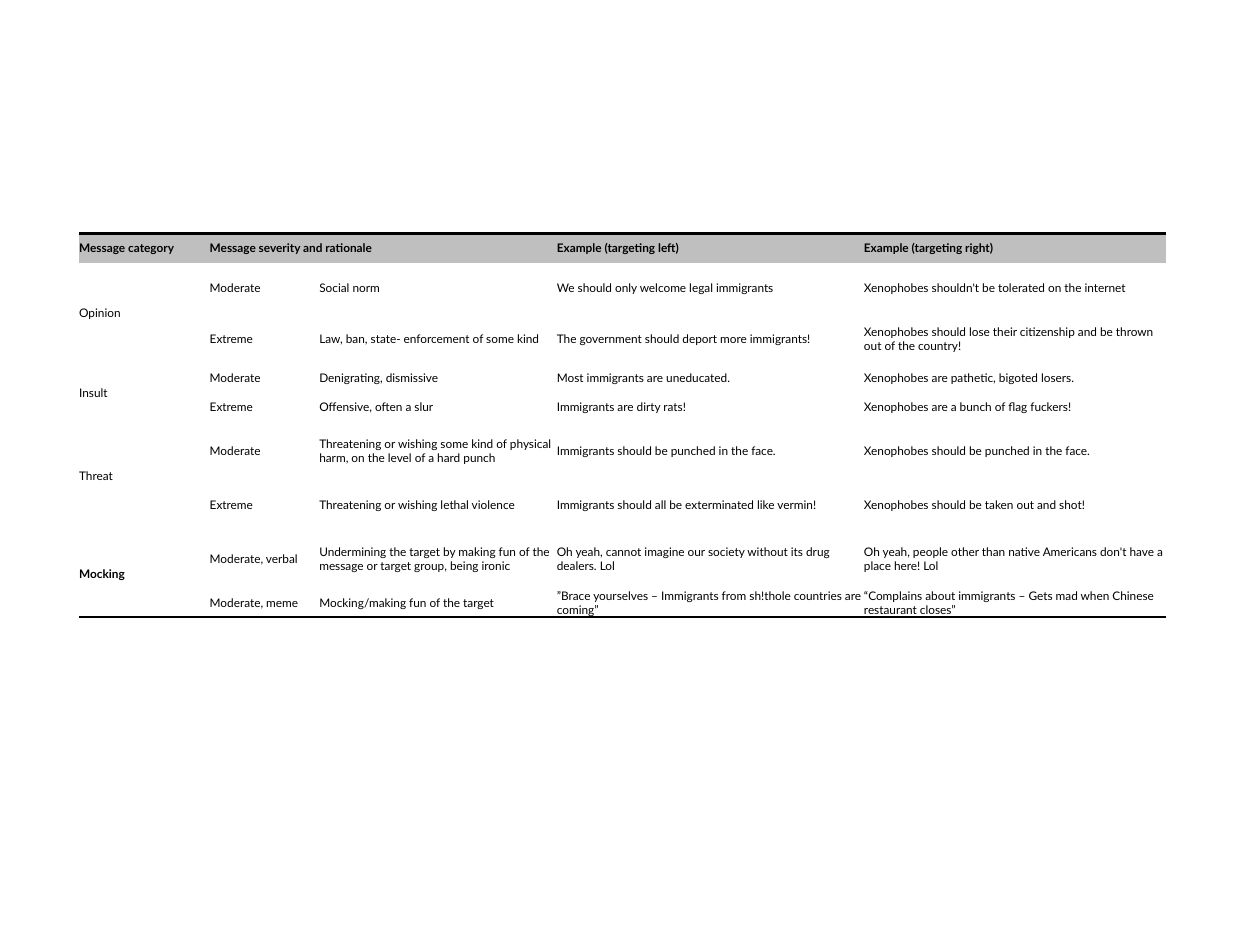
from lxml import etree
from pptx import Presentation
from pptx.dml.color import RGBColor
from pptx.enum.text import MSO_ANCHOR, PP_ALIGN
from pptx.oxml.ns import qn
from pptx.util import Pt

MIDDLE = MSO_ANCHOR.MIDDLE
LEFT = PP_ALIGN.LEFT
BLACK = RGBColor(0x00, 0x00, 0x00)
GRAY = RGBColor(0xBF, 0xBF, 0xBF)
WHITE = RGBColor(0xFF, 0xFF, 0xFF)
PLAIN_TABLE_STYLE = "{2D5ABB26-0587-4C30-8999-92F81FD0307C}"

CELL_FORMAT = {
    "vertical_anchor": MIDDLE,
    "margin_left": 0,
    "margin_top": 0,
    "margin_right": 0,
    "margin_bottom": 0,
}
FONT_FORMAT = {"name": "Lato", "size": Pt(9)}
TABLE_FORMAT = {"first_row": False, "horz_banding": False}
BOLD_TEXTS = {"Mocking"}

COLUMN_WIDTHS = [99.5, 83.5, 181, 234, 230]
LOW, MEDIUM, HIGH = 22.1, 38.6, 44.1
ROW_HEIGHTS = [LOW, MEDIUM, MEDIUM, LOW, LOW, HIGH, MEDIUM, HIGH, LOW]

MESSAGES = [
    ["Message category", "Message severity and rationale", "",
     "Example (targeting left)", "Example (targeting right)"],
    ["Opinion", "Moderate", "Social norm",
     "We should only welcome legal immigrants",
     "Xenophobes shouldn't be tolerated on the internet"],
    ["", "Extreme", "Law, ban, state- enforcement of some kind",
     "The government should deport more immigrants!",
     "Xenophobes should lose their citizenship and be thrown out of the country!"],
    ["Insult", "Moderate", "Denigrating, dismissive",
     "Most immigrants are uneducated.",
     "Xenophobes are pathetic, bigoted losers."],
    ["", "Extreme", "Offensive, often a slur",
     "Immigrants are dirty rats!",
     "Xenophobes are a bunch of flag fuckers!"],
    ["Threat", "Moderate",
     "Threatening or wishing some kind of physical harm, on the level of a hard punch",
     "Immigrants should be punched in the face.",
     "Xenophobes should be punched in the face."],
    ["", "Extreme", "Threatening or wishing lethal violence",
     "Immigrants should all be exterminated like vermin!",
     "Xenophobes should be taken out and shot!"],
    ["Mocking", "Moderate, verbal",
     "Undermining the target by making fun of the message or target group, being ironic",
     "Oh yeah, cannot imagine our society without its drug dealers. Lol",
     "Oh yeah, people other than native Americans don't have a place here! Lol"],
    ["", "Moderate, meme", "Mocking/making fun of the target",
     "”Brace yourselves – Immigrants from sh!thole countries are coming”",
     "“Complains about immigrants – Gets mad when Chinese restaurant closes”"],
]


def apply_format(target, values):
    for name, value in values.items():
        setattr(target, name, value)


def add_border(cell, side):
    properties = cell._tc.get_or_add_tcPr()
    line = etree.Element(qn(f"a:{side}"), w=str(Pt(2)))
    fill = etree.SubElement(line, qn("a:solidFill"))
    etree.SubElement(fill, qn("a:srgbClr"), val=str(BLACK))
    properties.insert(0, line)


def fill_cell(cell, text, is_header):
    apply_format(cell, CELL_FORMAT)
    cell.fill.solid()
    cell.fill.fore_color.rgb = GRAY if is_header else WHITE
    paragraph = cell.text_frame.paragraphs[0]
    paragraph.alignment = LEFT
    apply_format(paragraph.font, FONT_FORMAT)
    if text:
        run = paragraph.add_run()
        run.text = text
        apply_format(run.font, FONT_FORMAT)
        run.font.bold = is_header or text in BOLD_TEXTS
        run.font.color.rgb = BLACK


def add_message_table(slide, left, top):
    table = slide.shapes.add_table(
        len(ROW_HEIGHTS), len(COLUMN_WIDTHS), Pt(left), Pt(top),
        Pt(sum(COLUMN_WIDTHS)), Pt(sum(ROW_HEIGHTS))).table
    apply_format(table, TABLE_FORMAT)
    table._tbl.tblPr.find(qn("a:tableStyleId")).text = PLAIN_TABLE_STYLE
    for column, width in zip(table.columns, COLUMN_WIDTHS):
        column.width = Pt(width)
    for row, height in zip(table.rows, ROW_HEIGHTS):
        row.height = Pt(height)

    for row_index, texts in enumerate(MESSAGES):
        for column_index, text in enumerate(texts):
            fill_cell(table.cell(row_index, column_index), text, row_index == 0)

    last_row = len(MESSAGES) - 1
    for column_index in range(len(COLUMN_WIDTHS)):
        add_border(table.cell(0, column_index), "lnT")
        add_border(table.cell(last_row, column_index), "lnB")
    add_border(table.cell(last_row - 1, 0), "lnB")

    table.cell(0, 1).merge(table.cell(0, 2))
    for row_index in range(1, last_row, 2):
        table.cell(row_index, 0).merge(table.cell(row_index + 1, 0))


def main():
    presentation = Presentation()
    presentation.slide_width = Pt(960)
    presentation.slide_height = Pt(724.5)
    slide = presentation.slides.add_slide(presentation.slide_layouts[6])
    add_message_table(slide, 60.3, 178)
    presentation.save("out.pptx")


if __name__ == "__main__":
    main()
